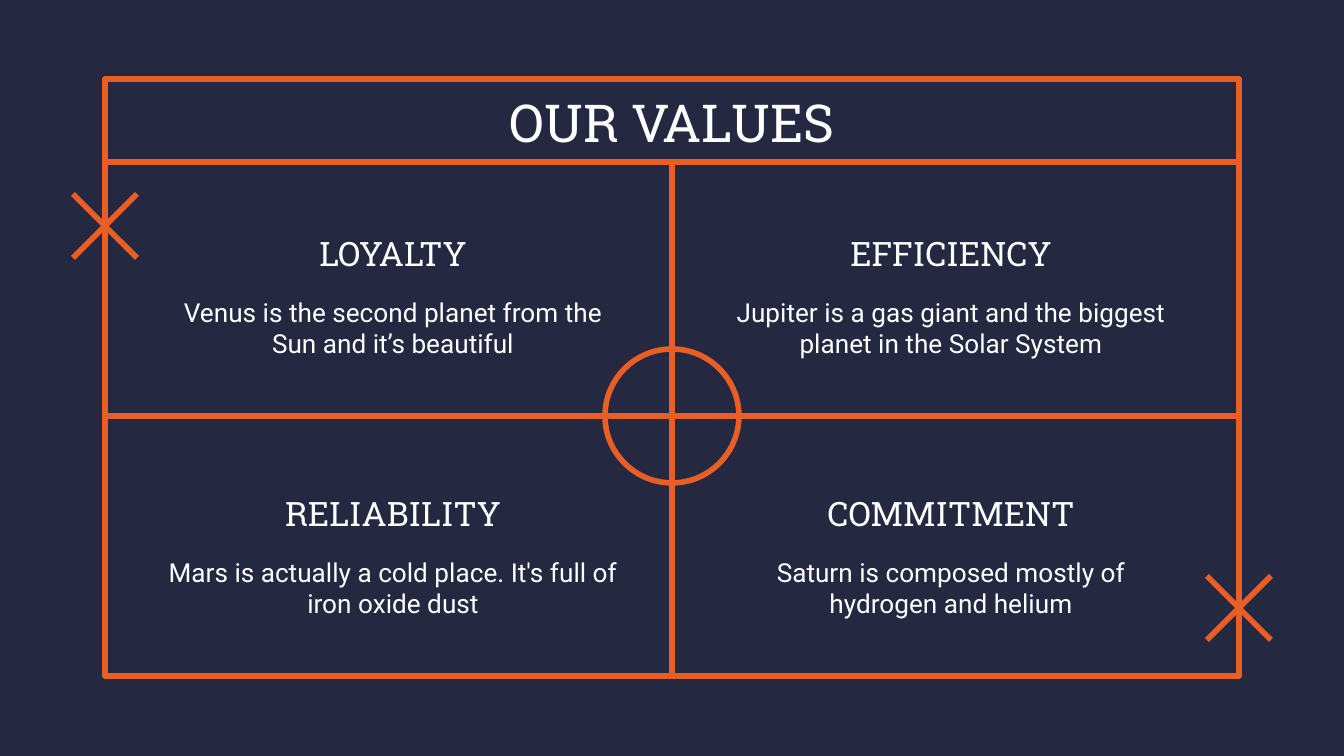
from lxml.etree import SubElement
from pptx import Presentation
from pptx.dml.color import RGBColor
from pptx.enum.shapes import MSO_CONNECTOR, MSO_SHAPE
from pptx.enum.text import MSO_ANCHOR, PP_ALIGN
from pptx.oxml.ns import qn
from pptx.util import Emu, Inches, Pt

WIDTH, HEIGHT = 1344, 756
LEFT, TOP, RIGHT, BOTTOM = 105, 79, 1239, 676
TITLE_LINE, MIDDLE_X, MIDDLE_Y = 162, 672, 416
CIRCLE_RADIUS, CROSS_RADIUS = 67, 32
CROSSES = [(LEFT, 226), (RIGHT, 608)]
CARD_LEFT, CARD_TOP, CARD_WIDTH = 149, 222, 488
COLUMN_STEP, ROW_STEP = 558, 260
HEADING_HEIGHT, BODY_HEIGHT = 63, 85
VALUES = [
    ("LOYALTY", "Venus is the second planet from the Sun and it’s beautiful"),
    ("EFFICIENCY", "Jupiter is a gas giant and the biggest planet in the Solar System"),
    ("RELIABILITY", "Mars is actually a cold place. It's full of iron oxide dust"),
    ("COMMITMENT", "Saturn is composed mostly of hydrogen and helium"),
]


def px(length):
    return Emu(round(length * Inches(10) / WIDTH))


def color(value):
    return RGBColor.from_string(value)


class ValuesPage:
    """Draws outlined shapes, lines and centred text on one slide."""

    navy, orange, white = "242841", "E95E24", "FFFFFF"
    heading_font, body_font = "Roboto Slab", "Roboto"

    def __init__(self, deck):
        self.page = deck.slides.add_slide(deck.slide_layouts[6])
        fill = self.page.background.fill
        fill.solid()
        fill.fore_color.rgb = color(self.navy)

    def stroke(self, line):
        line.color.rgb = color(self.orange)
        line.width = Pt(3)

    def outline(self, kind, left, top, width, height):
        shape = self.page.shapes.add_shape(kind, px(left), px(top), px(width), px(height))
        shape.shadow.inherit = False
        shape.fill.background()
        self.stroke(shape.line)

    def line(self, x1, y1, x2, y2):
        connector = self.page.shapes.add_connector(
            MSO_CONNECTOR.STRAIGHT, px(x1), px(y1), px(x2), px(y2))
        self.stroke(connector.line)
        SubElement(connector._element.spPr, qn("a:effectLst"))

    def cross(self, x, y, radius):
        self.line(x - radius, y - radius, x + radius, y + radius)
        self.line(x + radius, y - radius, x - radius, y + radius)

    def text(self, words, left, top, width, height, size, font, space_after=0):
        box = self.page.shapes.add_textbox(px(left), px(top), px(width), px(height))
        frame = box.text_frame
        frame.word_wrap = True
        frame.vertical_anchor = MSO_ANCHOR.MIDDLE
        frame.margin_left = frame.margin_right = Inches(0.1)
        frame.margin_top = frame.margin_bottom = Inches(0.1)
        frame.text = words
        paragraph = frame.paragraphs[0]
        paragraph.alignment = PP_ALIGN.CENTER
        paragraph.space_after = Pt(space_after)
        span = paragraph.runs[0]
        span.font.name = font
        span.font.size = Pt(size)
        span.font.color.rgb = color(self.white)

    def card(self, heading, body, left, top):
        self.text(heading, left, top, CARD_WIDTH, HEADING_HEIGHT,
                  18, self.heading_font, space_after=12)
        self.text(body, left, top + HEADING_HEIGHT, CARD_WIDTH, BODY_HEIGHT,
                  14, self.body_font)


def main():
    deck = Presentation()
    deck.slide_width, deck.slide_height = px(WIDTH), px(HEIGHT)
    page = ValuesPage(deck)
    page.line(LEFT, TITLE_LINE, RIGHT, TITLE_LINE)
    page.outline(MSO_SHAPE.RECTANGLE, LEFT, TOP, RIGHT - LEFT, BOTTOM - TOP)
    page.line(MIDDLE_X, BOTTOM, MIDDLE_X, TITLE_LINE)
    page.line(RIGHT, MIDDLE_Y, LEFT, MIDDLE_Y)
    page.text("OUR VALUES", LEFT, TOP, RIGHT - LEFT, TITLE_LINE - TOP + 2,
              28, page.heading_font)
    for index, (heading, body) in enumerate(VALUES):
        row, column = divmod(index, 2)
        page.card(heading, body, CARD_LEFT + column * COLUMN_STEP, CARD_TOP + row * ROW_STEP)
    page.outline(MSO_SHAPE.OVAL, MIDDLE_X - CIRCLE_RADIUS, MIDDLE_Y - CIRCLE_RADIUS,
                 2 * CIRCLE_RADIUS, 2 * CIRCLE_RADIUS)
    for x, y in CROSSES:
        page.cross(x, y, CROSS_RADIUS)
    deck.save("out.pptx")


if __name__ == "__main__":
    main()
